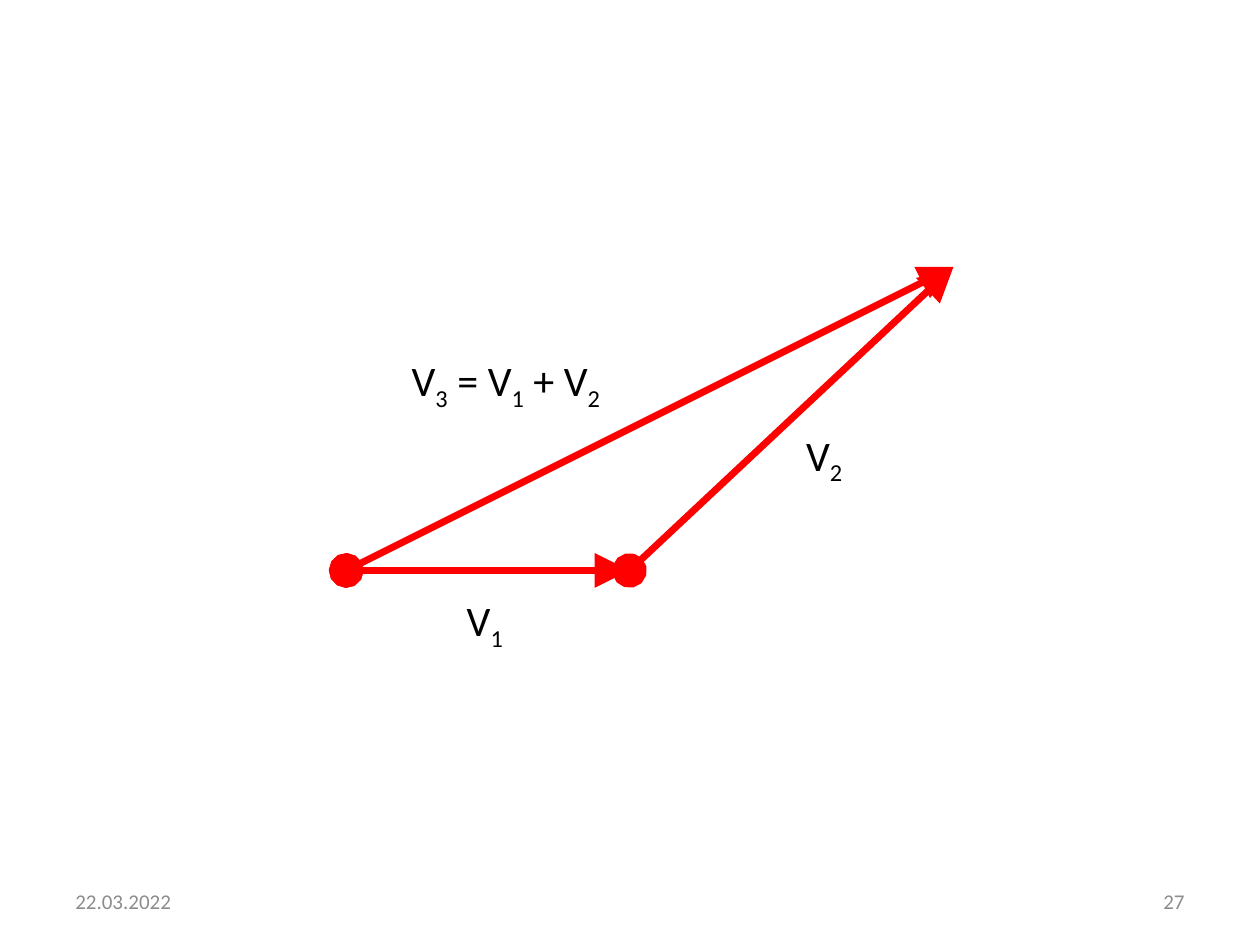
from dataclasses import dataclass

from lxml import etree
from pptx import Presentation
from pptx.dml.color import RGBColor
from pptx.enum.shapes import MSO_CONNECTOR
from pptx.enum.text import MSO_ANCHOR, MSO_AUTO_SIZE, PP_ALIGN
from pptx.oxml.ns import qn
from pptx.util import Cm, Pt

STRAIGHT = MSO_CONNECTOR.STRAIGHT
TOP, MIDDLE = MSO_ANCHOR.TOP, MSO_ANCHOR.MIDDLE
LEFT, RIGHT = PP_ALIGN.LEFT, PP_ALIGN.RIGHT
FIT_SHAPE = MSO_AUTO_SIZE.SHAPE_TO_FIT_TEXT


@dataclass(frozen=True)
class Theme:
    """Colours, type sizes and line width of the slide."""
    font: str = "Calibri"
    vector: RGBColor = RGBColor(0xFF, 0x00, 0x00)
    label: RGBColor = RGBColor(0x00, 0x00, 0x00)
    footer: RGBColor = RGBColor(0x8C, 0x8C, 0x8C)
    label_size: Pt = Pt(24)
    footer_size: Pt = Pt(12)
    line_width: Pt = Pt(4)


THEME = Theme()


def style_run(run, size, color):
    """Give a run the theme font with a size and colour."""
    run.font.name = THEME.font
    run.font.size = size
    run.font.color.rgb = color


def add_vector(slide, start, end):
    """Draw an arrow with a round tail from start to end."""
    connector = slide.shapes.add_connector(STRAIGHT, *start, *end)
    connector.line.color.rgb = THEME.vector
    connector.line.width = THEME.line_width
    properties = connector.element.spPr
    line = properties.find(qn("a:ln"))
    for tag, kind in (("a:headEnd", "oval"), ("a:tailEnd", "triangle")):
        etree.SubElement(line, qn(tag), type=kind, w="lg", len="lg")
    etree.SubElement(properties, qn("a:effectLst"))


def add_text_box(slide, box, anchor, alignment):
    """Add a wrapping text box and return its text frame and paragraph."""
    text_frame = slide.shapes.add_textbox(*box).text_frame
    text_frame.word_wrap = True
    text_frame.vertical_anchor = anchor
    paragraph = text_frame.paragraphs[0]
    paragraph.alignment = alignment
    return text_frame, paragraph


def add_formula(slide, box, parts):
    """Write a formula from pairs of plain text and subscript."""
    text_frame, paragraph = add_text_box(slide, box, TOP, LEFT)
    text_frame.auto_size = FIT_SHAPE
    for base, subscript in parts:
        for text in (base, subscript):
            run = paragraph.add_run()
            run.text = text
            style_run(run, THEME.label_size, THEME.label)
        run._r.get_or_add_rPr().set("baseline", "-25000")


def add_vector_sum(slide, left, top, width, height):
    """Draw the triangle of two vectors and their sum with its labels."""
    origin = (left, top + height)
    joint = (left + Cm(5.71), top + height)
    tip = (left + width, top)
    for start, end in ((joint, tip), (origin, joint), (origin, tip)):
        add_vector(slide, start, end)
    labels = (
        (2.18, 6.48, 3.84, [("V", "1")]),
        (9.02, 3.15, 3.84, [("V", "2")]),
        (1.07, 1.65, 5.36, [("V", "3"), (" = V", "1"), (" + V", "2")]),
    )
    for x, y, label_width, parts in labels:
        box = (left + Cm(x), top + Cm(y), Cm(label_width), Cm(1.27))
        add_formula(slide, box, parts)


def add_footer(slide, left, top, width, height):
    """Place the date at the left and the slide number at the right."""
    item_width = Cm(5.92)
    items = (("22.03.2022", left, LEFT), ("27", left + width - item_width, RIGHT))
    for text, x, alignment in items:
        box = (x, top, item_width, height)
        paragraph = add_text_box(slide, box, MIDDLE, alignment)[1]
        paragraph.text = text
        style_run(paragraph.runs[0], THEME.footer_size, THEME.footer)


def main():
    """Build and save the presentation."""
    presentation = Presentation()
    presentation.slide_width = Cm(25.4)
    presentation.slide_height = Cm(19.05)
    slide = presentation.slides.add_slide(presentation.slide_layouts[6])
    add_vector_sum(slide, Cm(6.98), Cm(5.38), Cm(12.24), Cm(6.12))
    add_footer(slide, Cm(1.27), Cm(17.66), Cm(22.86), Cm(1.01))
    presentation.save("out.pptx")


if __name__ == "__main__":
    main()
